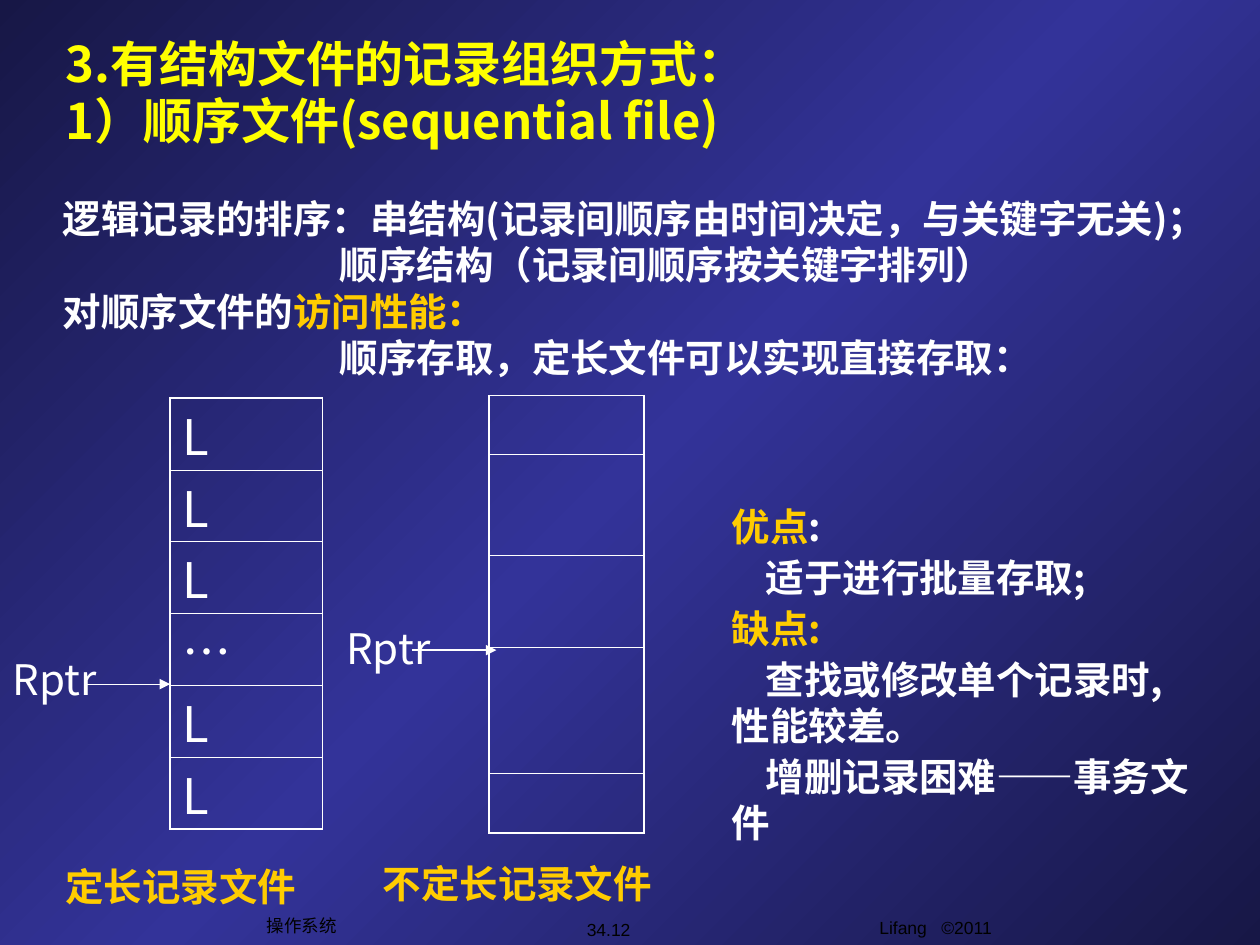
from copy import deepcopy

from lxml import etree
from pptx import Presentation
from pptx.dml.color import RGBColor
from pptx.enum import shapes, text
from pptx.oxml.ns import qn
from pptx.util import Inches, Pt

FONT = "Noto Sans CJK SC"
WHITE, GOLD, YELLOW, BLACK = "FFFFFF", "FFCC00", "FFFF00", "000000"
THICK, THIN = 1.08, 0.45


def rgb(color):
    return RGBColor.from_string(color)


def format_run(r, size, color, bold=False, font=FONT):
    r.font.size = Pt(size)
    r.font.bold = bold
    r.font.name = font
    r.font.color.rgb = rgb(color)
    ea = etree.SubElement(r._r.get_or_add_rPr(), qn("a:ea"))
    ea.set("typeface", FONT)


def fill_paragraph(p, parts, size, bold=False, font=FONT):
    """Write (text, colour) parts into a paragraph."""
    for words, color in parts:
        r = p.add_run()
        r.text = words
        format_run(r, size, color, bold, font)
    if font == FONT:
        p.line_spacing = Pt(size * 1.2)


def indent(p, margin=0, first=0):
    pPr = p._p.get_or_add_pPr()
    pPr.set("marL", str(Inches(margin)))
    pPr.set("indent", str(Inches(first)))


def add_text(slide, box, paragraphs, size, bold=False, font=FONT):
    sp = slide.shapes.add_textbox(*map(Inches, box))
    tf = sp.text_frame
    tf.word_wrap = True
    for i, parts in enumerate(paragraphs):
        p = tf.add_paragraph() if i else tf.paragraphs[0]
        fill_paragraph(p, parts, size, bold, font)
    return tf


def set_background(slide):
    fill = slide.background.fill
    fill.gradient()
    stops = fill.gradient_stops
    stops[0]._gs.addnext(deepcopy(stops[0]._gs))
    colors = ["171746", "333399", "171746"]
    for i, (stop, color) in enumerate(zip(fill.gradient_stops, colors)):
        stop.color.rgb = rgb(color)
        stop.position = i / 2
    lin = fill._fill._gradFill.find(qn("a:lin"))
    lin.set("ang", str(225 * 60000))
    lin.set("scaled", "0")


def add_title(slide, box):
    title = slide.shapes.title
    title.left, title.top, title.width, title.height = map(Inches, box)
    tf = title.text_frame
    tf.text = "3.有结构文件的记录组织方式：\v1）顺序文件(sequential file)"
    tf.vertical_anchor = text.MSO_ANCHOR.MIDDLE
    p = tf.paragraphs[0]
    p.alignment = text.PP_ALIGN.LEFT
    p.line_spacing = Pt(32.6)
    for r in p.runs:
        format_run(r, 28, YELLOW, True)


def add_ordering(slide, box):
    tf = add_text(slide, box, [
        [("逻辑记录的排序：串结构(记录间顺序由时间决定，与关键字无关)；", WHITE)],
        [("顺序结构（记录间顺序按关键字排列）", WHITE)],
        [("对顺序文件的", WHITE), ("访问性能：", GOLD)],
        [("顺序存取，定长文件可以实现直接存取：", WHITE)],
    ], 22, True)
    for p in tf.paragraphs[1::2]:
        indent(p, margin=2.2)


def set_borders(cell, top, bottom):
    tcPr = cell._tc.get_or_add_tcPr()
    widths = [("lnL", THICK), ("lnR", THICK), ("lnT", top), ("lnB", bottom)]
    for i, (tag, width) in enumerate(widths):
        ln = etree.Element(qn("a:" + tag), w=str(Pt(width)))
        solid = etree.SubElement(ln, qn("a:solidFill"))
        etree.SubElement(solid, qn("a:srgbClr"), val=WHITE)
        tcPr.insert(i, ln)


def add_records(slide, left, top, width, heights, labels):
    """One column of records, with a heavier outer frame."""
    last = len(heights) - 1
    frame = slide.shapes.add_table(len(heights), 1, Inches(left), Inches(top),
                                   Inches(width), Inches(sum(heights)))
    table = frame.table
    table.first_row = table.horz_banding = False
    for i, (height, label) in enumerate(zip(heights, labels)):
        table.rows[i].height = Inches(height)
        cell = table.cell(i, 0)
        cell.margin_top, cell.margin_bottom = Inches(0.1), 0
        cell.fill.background()
        set_borders(cell, THIN if i else THICK, THICK if i == last else THIN)
        if label:
            fill_paragraph(cell.text_frame.paragraphs[0], [(label, WHITE)], 28)


def add_pointer(slide, left, top, arrow_start, arrow_end, arrow_y):
    line = slide.shapes.add_connector(
        shapes.MSO_CONNECTOR.STRAIGHT, Inches(arrow_start), Inches(arrow_y),
        Inches(arrow_end), Inches(arrow_y))
    line.line.color.rgb = rgb(WHITE)
    line.line.width = Pt(0.75)
    etree.SubElement(line.line._get_or_add_ln(), qn("a:tailEnd"), type="triangle")
    etree.SubElement(line._element.spPr, qn("a:effectLst"))
    add_text(slide, (left, top, 0.92, 0.9), [[("Rptr", WHITE)]], 24)


def add_evaluation(slide, box):
    tf = add_text(slide, box, [
        [("优点", GOLD), (":", WHITE)],
        [("适于进行批量存取;", WHITE)],
        [("缺点:", GOLD)],
        [("查找或修改单个记录时,性能较差。", WHITE)],
        [("增删记录困难——事务文件", WHITE)],
    ], 22, True)
    for i, p in enumerate(tf.paragraphs):
        if i:
            p.space_before = Pt(2.8)
        if i in (1, 3, 4):
            indent(p, first=0.27)


def add_footer(slide):
    for box, words, anchor in [
        ((5.84, 7.23, 3.17, 0.35), "Lifang   ©2011", text.MSO_ANCHOR.TOP),
        ((4.32, 7.24, 1.02, 0.27), "34.12", text.MSO_ANCHOR.MIDDLE),
        ((2.02, 7.21, 0.75, 0.27), "操作系统", text.MSO_ANCHOR.MIDDLE),
    ]:
        tf = add_text(slide, box, [[(words, BLACK)]], 10, font="Arial")
        tf.word_wrap = anchor == text.MSO_ANCHOR.TOP
        tf.vertical_anchor = anchor
        tf.paragraphs[0].alignment = text.PP_ALIGN.CENTER


def main():
    prs = Presentation()
    prs.slide_width, prs.slide_height = Inches(10), Inches(7.5)
    slide = prs.slides.add_slide(prs.slide_layouts[5])
    set_background(slide)
    add_footer(slide)
    add_title(slide, (0.42, 0.23, 8.58, 1.01))
    add_ordering(slide, (0.4, 1.5, 9.6, 1.57))

    # Fixed-length and variable-length record files
    add_records(slide, 1.35, 3.16, 1.21, [0.57] * 6, "LLL…LL")
    add_records(slide, 3.88, 3.14, 1.23, [0.47, 0.8, 0.73, 1, 0.47], [""] * 5)
    add_pointer(slide, 0, 5.14, 0.69, 1.35, 5.43)
    add_pointer(slide, 2.65, 4.89, 3.27, 3.94, 5.16)
    add_text(slide, (0.42, 6.8, 2.81, 0.47), [[("定长记录文件", GOLD)]], 22, True)
    add_text(slide, (2.94, 6.78, 2.81, 0.47), [[("不定长记录文件", GOLD)]], 22, True)

    add_evaluation(slide, (5.71, 3.94, 3.88, 2.82))
    prs.save("out.pptx")


if __name__ == "__main__":
    main()
